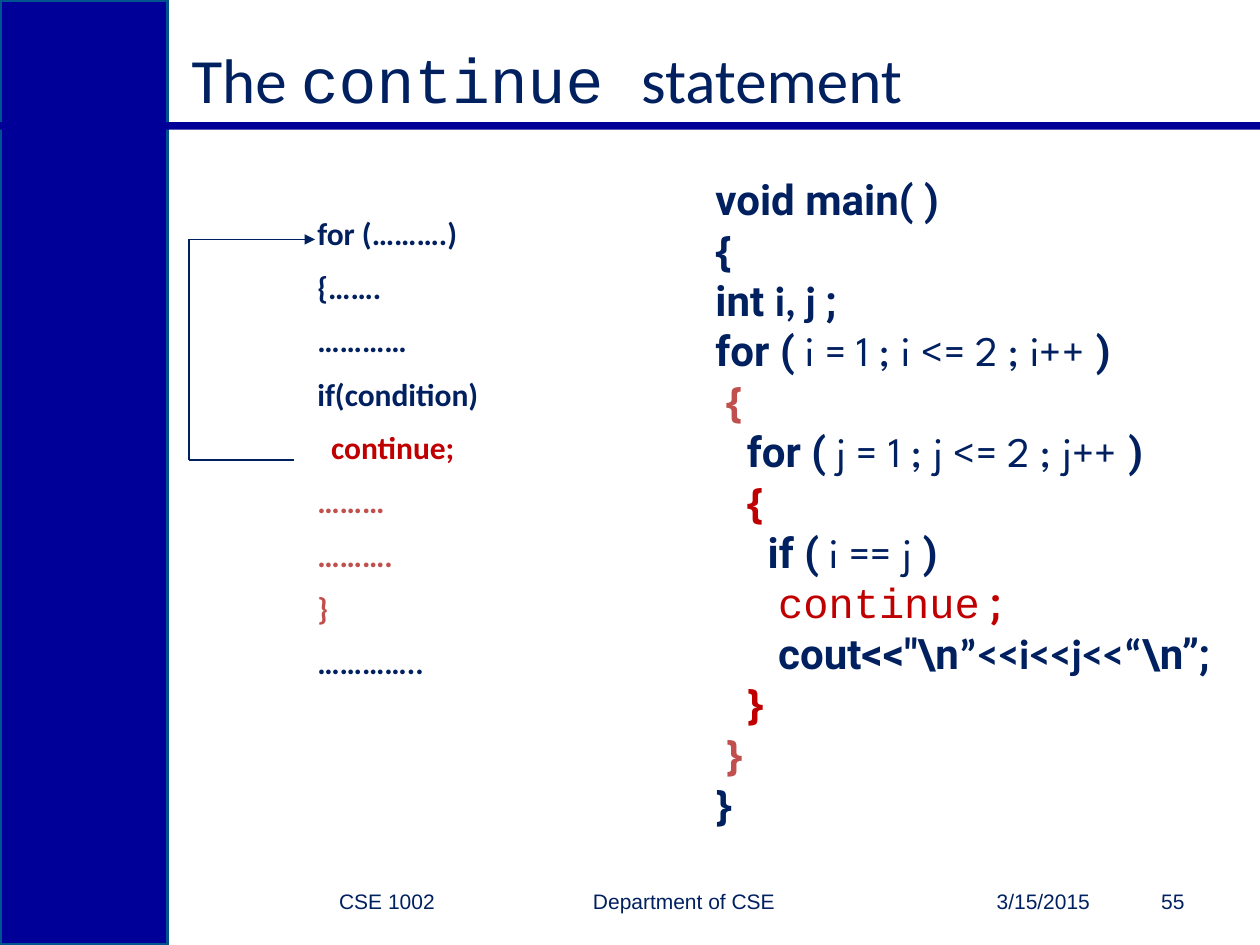
from lxml import etree
from pptx import Presentation
from pptx.dml.color import RGBColor
from pptx.enum import shapes, text
from pptx.oxml import ns
from pptx.util import Inches, Pt

NAVY = RGBColor(0x00, 0x20, 0x60)
BLUE = RGBColor(0x00, 0x00, 0x99)
TEAL = RGBColor(0x00, 0x53, 0x8E)
RED = RGBColor(0xC0, 0x00, 0x00)
ROSE = RGBColor(0xC0, 0x50, 0x4D)
SANS, HEAD, BODY, THIN, MONO = (
    "Noto Sans", "Roboto", "Calibri", "League Spartan", "Courier New")
LEFT, RIGHT = text.PP_ALIGN.LEFT, text.PP_ALIGN.RIGHT
TOP, MID = text.MSO_ANCHOR.TOP, text.MSO_ANCHOR.MIDDLE


def write(shape, lines, size, bold=False, align=LEFT, anchor=TOP, gap=0):
    """Fill a shape with lines, each an indent and its runs."""
    frame = shape.text_frame
    frame.word_wrap = True
    frame.auto_size = text.MSO_AUTO_SIZE.NONE
    frame.vertical_anchor = anchor
    for row, (indent, runs) in enumerate(lines):
        para = frame.paragraphs[0] if row == 0 else frame.add_paragraph()
        para.alignment = align
        para.space_before = Pt(gap)
        if indent:
            para._p.get_or_add_pPr().set("marL", str(Inches(indent)))
        for words, face, color in runs:
            run = para.add_run()
            run.text = words
            font = run.font
            font.name, font.size = face, Pt(size)
            font.bold = bold and face not in (THIN, MONO)
            font.color.rgb = color


def box(slide, x, y, w, h):
    """Add a text box."""
    return slide.shapes.add_textbox(Inches(x), Inches(y), Inches(w), Inches(h))


def band(slide, x, y, w, h, edge=None):
    """Add a plain blue bar."""
    bar = slide.shapes.add_shape(
        shapes.MSO_SHAPE.RECTANGLE, Inches(x), Inches(y), Inches(w), Inches(h))
    bar.shadow.inherit = False
    bar.fill.solid()
    bar.fill.fore_color.rgb = BLUE
    if edge:
        bar.line.color.rgb = edge
        bar.line.width = Pt(2)
    else:
        bar.line.fill.background()


def link(slide, start, end, head=False):
    """Add a thin line, with an arrowhead at its end if asked."""
    line = slide.shapes.add_connector(
        shapes.MSO_CONNECTOR.STRAIGHT, *map(Inches, start + end))
    line.line.color.rgb = NAVY
    line.line.width = Pt(0.75)
    if head:
        tip = etree.SubElement(line.line._get_or_add_ln(), ns.qn("a:tailEnd"))
        tip.set("type", "triangle")
    etree.SubElement(line._element.spPr, ns.qn("a:effectLst"))


def title(slide, x, y, w, h):
    """Place and write the title."""
    head = slide.shapes.title
    head.left, head.top, head.width, head.height = map(Inches, (x, y, w, h))
    runs = [("The ", BODY, NAVY), ("continue ", MONO, NAVY),
            ("statement", BODY, NAVY)]
    write(head, [(0, runs)], 36, anchor=MID)


def flow(slide, x, y, w, h):
    """Draw the loop outline and the arrow back to its start."""
    rows = [("for (……….)", NAVY, 0), ("{…….", NAVY, 0), ("…………", NAVY, 0),
            ("if(condition)", NAVY, 0), ("continue;", RED, 0.11),
            ("………", ROSE, 0), ("……….", ROSE, 0), ("}", ROSE, 0),
            ("…………..", NAVY, 0)]
    lines = [(dent, [(words, BODY, color)]) for words, color, dent in rows]
    write(box(slide, x + 0.92, y, w - 0.92, h), lines, 18, bold=True, gap=9)
    turns = [(x + 0.83, y + 2), (x, y + 2), (x, y + 0.25), (x + 1, y + 0.25)]
    for step, (start, end) in enumerate(zip(turns, turns[1:])):
        link(slide, start, end, head=step == 2)


def code(slide, x, y, w, h):
    """Write the program listing."""
    def brace(mark, color=NAVY):
        return [(mark, SANS, color)]

    def loop(word, test):
        return [(word + " ( ", HEAD, NAVY), (test, THIN, NAVY),
                (" )", HEAD, NAVY)]

    rows = [
        (0, [("void main( )", HEAD, NAVY)]),
        (0, brace("{")),
        (0, [("int ", HEAD, NAVY), ("i, j ", BODY, NAVY), (";", HEAD, NAVY)]),
        (0, loop("for", "i = 1 ; i <= 2 ; i++")),
        (1, brace("{", ROSE)),
        (3, loop("for", "j = 1 ; j <= 2 ; j++")),
        (3, brace("{", RED)),
        (5, loop("if", "i == j")),
        (6, [("continue", MONO, RED), (" ;", HEAD, RED)]),
        (6, [('cout<<"\\n', HEAD, NAVY), ("”<<i<<j<<“", BODY, NAVY),
             ("\\n”;", HEAD, NAVY)]),
        (3, brace("}", RED)),
        (1, brace("}", ROSE)),
        (0, brace("}")),
    ]
    lines = [(step * 0.083, runs) for step, runs in rows]
    write(box(slide, x, y, w, h), lines, 24, bold=True)


def footer(slide, x, y, h):
    """Write the footer fields side by side."""
    for words, width in (("CSE 1002", 2.13), ("Department of CSE", 2.7),
                         ("3/15/2015", 2.5), ("55", 0.75)):
        write(box(slide, x, y, width, h), [(0, [(words, "Arial", NAVY)])], 12,
              align=RIGHT, anchor=MID)
        x += width


def build():
    """Build and save the slide."""
    deck = Presentation()
    deck.slide_width, deck.slide_height = Inches(10), Inches(7.5)
    slide = deck.slides.add_slide(deck.slide_layouts[5])
    band(slide, 0, 0, 1.33, 7.5, edge=TEAL)
    band(slide, 0, 0.97, 10, 0.06)
    title(slide, 1.42, 0, 8.58, 1.25)
    flow(slide, 1.5, 1.65, 3.84, 4.01)
    code(slide, 5.58, 1.33, 4.17, 5.35)
    footer(slide, 1.42, 6.95, 0.4)
    deck.save("out.pptx")


build()
